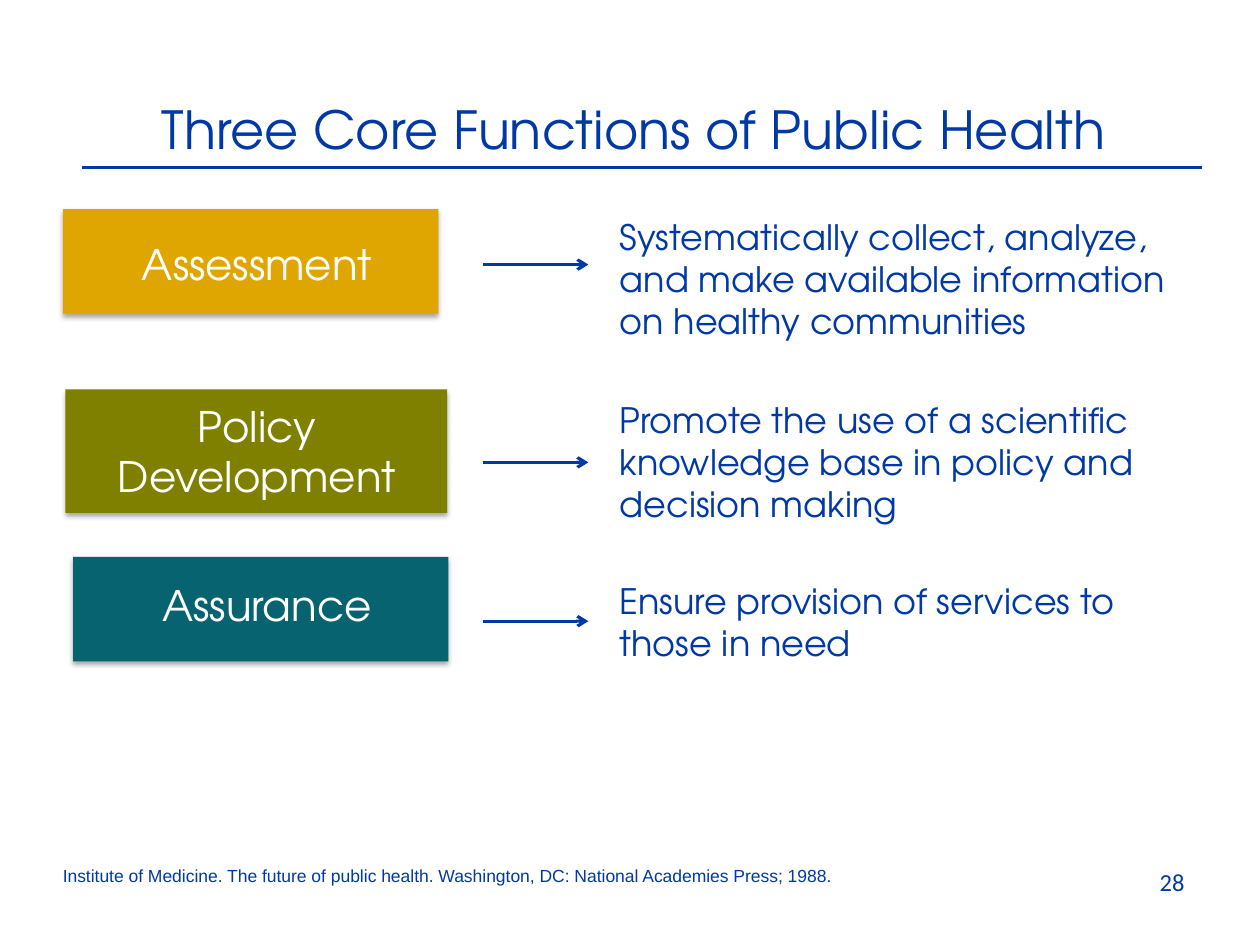
from dataclasses import dataclass

from lxml.etree import SubElement
from pptx import Presentation
from pptx.dml.color import RGBColor as Rgb
from pptx.enum.shapes import MSO_CONNECTOR as Link, MSO_SHAPE as Kind
from pptx.enum.text import MSO_ANCHOR as Anchor, PP_ALIGN as Align
from pptx.oxml.ns import qn
from pptx.util import Inches, Pt

HUES = {
    "blue": "0039A6",
    "gold": "DFA602",
    "olive": "808000",
    "teal": "06636F",
    "white": "FFFFFF",
    "black": "000000",
}
FACE = "TeX Gyre Adventor"
COLS, ROWS = 100, 75

deck = Presentation()
deck.slide_width, deck.slide_height = Inches(10), Inches(7.5)
slide = deck.slides.add_slide(deck.slide_layouts[6])
shapes = slide.shapes


@dataclass
class Area:
    col: float
    row: float
    wide: float
    high: float

    def spot(self) -> tuple[int, int, int, int]:
        return (*point(self.col, self.row), *point(self.wide, self.high))


@dataclass
class Style:
    size: int
    face: str = FACE
    hue: str = "blue"
    align: Align = Align.LEFT
    anchor: Anchor = Anchor.TOP


@dataclass
class Core:
    name: str
    hue: str
    card: Area
    label: Area
    aim: str
    note: Area
    level: float


def point(col: float, row: float) -> tuple[int, int]:
    return round(deck.slide_width * col / COLS), round(deck.slide_height * row / ROWS)


def write(text: str, area: Area, style: Style):
    frame = shapes.add_textbox(*area.spot()).text_frame
    frame.word_wrap = True
    frame.vertical_anchor = style.anchor
    frame.text = text
    for para in frame.paragraphs:
        para.alignment = style.align
        font = para.runs[0].font
        font.size, font.name = Pt(style.size), style.face
        font.color.rgb = Rgb.from_string(HUES[style.hue])
    return frame


def shade(shape) -> None:
    shape.shadow.inherit = False
    glow = SubElement(
        shape.element.spPr.find(qn("a:effectLst")), qn("a:outerShdw"),
        blurRad=str(Pt(3.1)), dist=str(Pt(1.8)), dir="5400000", rotWithShape="0",
    )
    tint = SubElement(glow, qn("a:srgbClr"), val=HUES["black"])
    SubElement(tint, qn("a:alpha"), val="35000")


def block(area: Area, hue: str) -> None:
    shape = shapes.add_shape(Kind.RECTANGLE, *area.spot())
    shape.fill.solid()
    shape.fill.fore_color.rgb = Rgb.from_string(HUES[hue])
    shape.line.fill.background()
    shade(shape)


def rule(left: float, right: float, row: float, head: bool = False) -> None:
    line = shapes.add_connector(Link.STRAIGHT, *point(left, row), *point(right, row))
    line.line.width = Pt(1.75)
    line.line.color.rgb = Rgb.from_string(HUES["blue"])
    if head:
        SubElement(line.line._get_or_add_ln(), qn("a:tailEnd"), type="arrow")
    SubElement(line.element.spPr, qn("a:effectLst"))


CORES = [
    Core("Assessment", "gold", Area(5, 16.6, 29.8, 8.3), Area(7.5, 18.4, 25.8, 5),
         "Systematically collect, analyze, and make available information "
         "on healthy communities", Area(48.2, 16.6, 45.8, 11.1), 21),
    Core("Policy\nDevelopment", "olive", Area(5.2, 30.9, 30.3, 9.8),
         Area(7.5, 31.3, 25.8, 9.1),
         "Promote the use of a scientific knowledge base in policy and "
         "decision making", Area(48.2, 31.1, 44, 11.1), 36.7),
    Core("Assurance", "teal", Area(5.8, 44.2, 29.8, 8.3), Area(8.3, 45.5, 25.8, 5),
         "Ensure provision of services to those in need",
         Area(48.2, 45.5, 45.8, 7.7), 49.3),
]

write("Three Core Functions of Public Health", Area(5.2, 7.2, 90.2, 6.1),
      Style(30, align=Align.CENTER))
rule(6.5, 95.4, 13.3)

for core in CORES:
    block(core.card, core.hue)
    write(core.name, core.label, Style(24, hue="white", align=Align.CENTER))
    rule(38.3, 46.7, core.level, head=True)
    write(core.aim, core.note, Style(20))

cite = write("Institute of Medicine. The future of public health. "
             "Washington, DC: National Academies Press; 1988.",
             Area(4, 67.5, 90, 3.3), Style(10, "Arial", anchor=Anchor.BOTTOM))
props = cite.paragraphs[0]._p.get_or_add_pPr()
props.set("marL", str(Inches(0.38)))
props.set("indent", str(-Inches(0.38)))
write("28", Area(71.7, 68.3, 23.3, 5.2), Style(14, "Calibri", align=Align.RIGHT))

deck.save("out.pptx")
